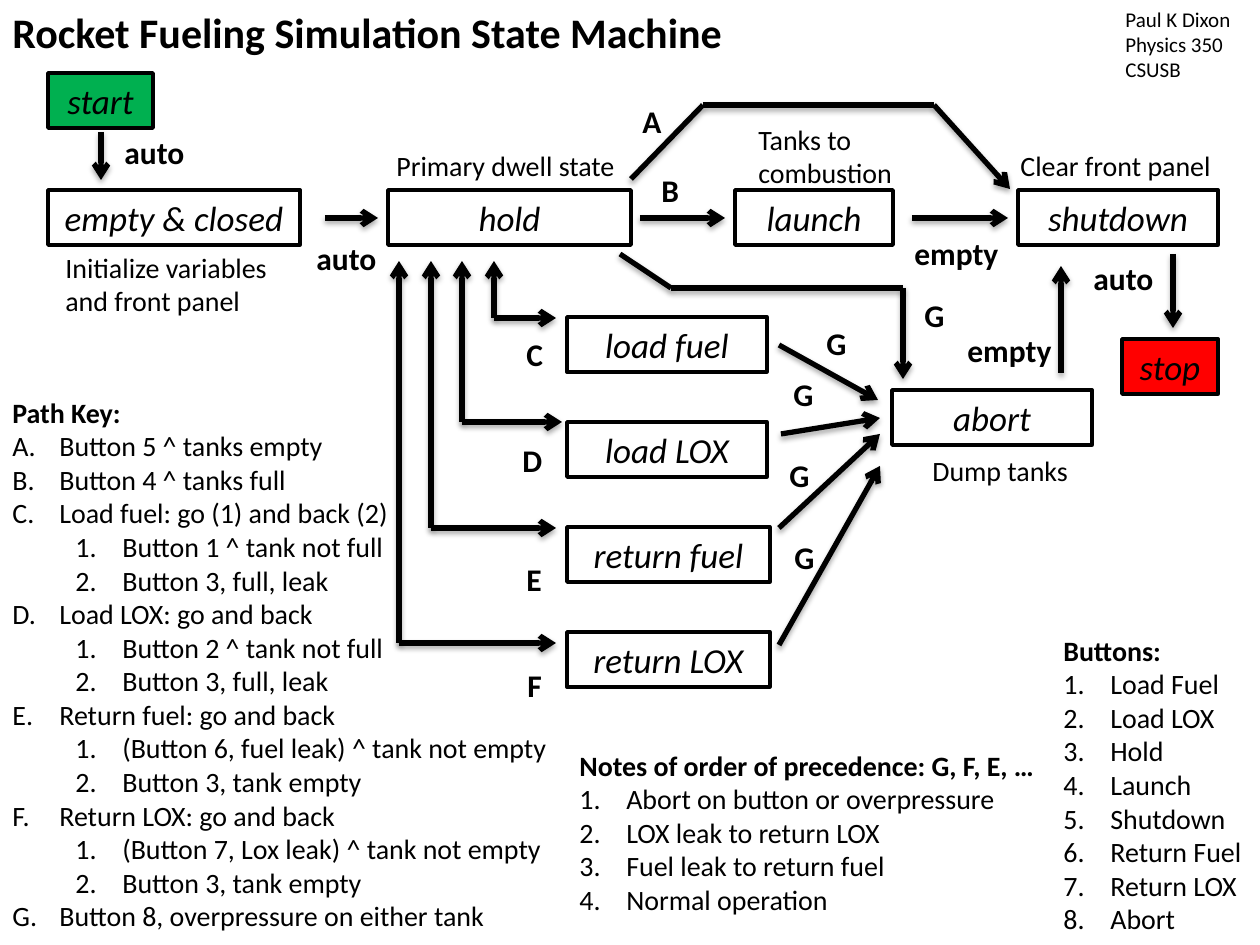
from itertools import pairwise
from lxml import etree
from pptx import Presentation, util as u
from pptx.dml.color import RGBColor
from pptx.enum import shapes, text
from pptx.oxml.ns import qn

SCALE = 914400 / 126
SIZE = (1260, 945)
THEME = dict(font="Calibri", ink="000000", start="00B050", stop="FF0000",
             title=24, state=20, label=18, body=16, credit=12,
             border=2, arrow=3)
STATE_HEIGHT, LABEL_HEIGHT, INDENT, SUB_INDENT = 55, 50, 47, 110

# Content: states as name, left, top, width, fill
ROW, STEPS = 190, [317 + 105 * i for i in range(4)]
STATES = [
    ("start", 48, 73, 105, "start"), ("stop", 1122, 339, 96, "stop"),
    ("empty & closed", 48, ROW, 252, None), ("hold", 388, ROW, 243, None),
    ("launch", 735, ROW, 158, None), ("shutdown", 1018, ROW, 200, None),
    ("abort", 892, 390, 200, None),
    ("load fuel", 567, STEPS[0], 200, None), ("load LOX", 567, STEPS[1], 200, None),
    ("return fuel", 567, STEPS[2], 203, None), ("return LOX", 567, STEPS[3], 203, None),
]

# Routes as points, with an arrowhead at the last one
MIDDLE = 218
ROUTES = [
    [(101, 132), (101, 180)],
    [(325, MIDDLE), (378, MIDDLE)],
    [(640, MIDDLE), (725, MIDDLE)],
    [(912, MIDDLE), (1008, MIDDLE)],
    [(631, 179), (703, 105), (934, 105), (1010, 189)],
    [(620, 254), (671, 288), (903, 288), (903, 379)],
    [(1061, 373), (1061, 266)],
    [(1173, 254), (1173, 328)],
    [(779, 345), (878, 400)],
    [(781, 434), (880, 418)],
    [(779, 528), (880, 434)],
    [(779, 645), (880, 466)],
]
# Two-way routes between hold and each step: column, level, right end
BRANCHES = [(494, 318, 556), (462, 422, 562), (431, 528, 556), (399, 643, 556)]
BRANCH_TOP = 261

LABELS = [
    ("auto", 112, 127, 86), ("auto", 304, 233, 86), ("auto", 1081, 253, 86),
    ("empty", 955, 325, 110), ("empty", 902, 228, 110),
    ("A", 630, 96, 44), ("B", 649, 165, 44), ("C", 514, 329, 43),
    ("D", 510, 435, 45), ("E", 514, 554, 43), ("F", 515, 660, 40),
    ("G", 912, 290, 45), ("G", 814, 318, 45), ("G", 781, 369, 45),
    ("G", 777, 450, 45), ("G", 782, 532, 45),
]

# Plain text as lines, size, bold, left, top, width, height
NOTES = [
    (["Rocket Fueling Simulation State Machine"], "title", True, 0, 0, 737, 63),
    (["Paul K Dixon", "Physics 350", "CSUSB"], "credit", False, 1113, 0, 147, 89),
    (["Initialize variables", "and front panel"], "body", False, 53, 244, 231, 81),
    (["Dump tanks"], "body", False, 920, 447, 180, 47),
    (["Tanks to", "combustion"], "body", False, 746, 116, 166, 81),
    (["Clear front panel"], "body", False, 1008, 142, 231, 47),
    (["Primary dwell state"], "body", False, 384, 142, 257, 47),
]

# Numbered lists as heading, items, scheme, box; a tuple holds sub-items
LISTS = [
    ("Path Key:", [
        "Button 5 ^ tanks empty", "Button 4 ^ tanks full",
        "Load fuel: go (1) and back (2)",
        ("Button 1 ^ tank not full", "Button 3, full, leak"),
        "Load LOX: go and back",
        ("Button 2 ^ tank not full", "Button 3, full, leak"),
        "Return fuel: go and back",
        ("(Button 6, fuel leak) ^ tank not empty", "Button 3, tank empty"),
        "Return LOX: go and back",
        ("(Button 7, Lox leak) ^ tank not empty", "Button 3, tank empty"),
        "Button 8, overpressure on either tank",
    ], "alphaUcPeriod", (0, 389, 588, 556)),
    ("Buttons:", ["Load Fuel", "Load LOX", "Hold", "Launch", "Shutdown",
                  "Return Fuel", "Return LOX", "Abort"],
     "arabicPeriod", (1051, 627, 209, 318)),
    ("Notes of order of precedence: G, F, E, …",
     ["Abort on button or overpressure", "LOX leak to return LOX",
      "Fuel leak to return fuel", "Normal operation"],
     "arabicPeriod", (567, 742, 483, 183)),
]

deck = Presentation()
deck.slide_width, deck.slide_height = (round(side * SCALE) for side in SIZE)
page = deck.slides.add_slide(deck.slide_layouts[6])


def px(*lengths):
    return [round(length * SCALE) for length in lengths]


def color(name):
    return RGBColor.from_string(THEME[name])


def child(parent, tag, **values):
    return etree.SubElement(parent, qn(tag), values)


def write(para, words, size, **styles):
    span = para.add_run()
    span.text = words
    formats = dict(name=THEME["font"], size=u.Pt(THEME[size]), **styles)
    for key, value in formats.items():
        setattr(span.font, key, value)
    span.font.color.rgb = color("ink")


def paragraphs(frame, count):
    return [frame.paragraphs[0]] + [frame.add_paragraph() for _ in range(count - 1)]


def text_box(place, wrap=True):
    frame = page.shapes.add_textbox(*px(*place)).text_frame
    frame.word_wrap = wrap
    frame.auto_size = text.MSO_AUTO_SIZE.SHAPE_TO_FIT_TEXT
    return frame


def number(para, scheme, level):
    para.level = level
    props = para._p.get_or_add_pPr()
    margin, indent = px(SUB_INDENT if level else INDENT, -INDENT)
    props.set("marL", str(margin))
    props.set("indent", str(indent))
    child(props, "a:buFont", typeface="+mj-lt")
    child(props, "a:buAutoNum", type=scheme)


def segment(start, end, head=False, tail=False):
    line = page.shapes.add_connector(shapes.MSO_CONNECTOR.STRAIGHT, *px(*start, *end))
    line.line.color.rgb = color("ink")
    line.line.width = u.Pt(THEME["arrow"])
    for tag, shown in (("a:headEnd", head), ("a:tailEnd", tail)):
        if shown:
            child(line.line._ln, tag, type="arrow")
    effects = child(line._element.spPr, "a:effectLst")
    shadow = child(effects, "a:outerShdw", blurRad="40000", dist="23000",
                   dir="5400000", rotWithShape="0")
    child(child(shadow, "a:srgbClr", val=THEME["ink"]), "a:alpha", val="35000")


def route(points, both=False):
    pairs = list(pairwise(points))
    for i, (start, end) in enumerate(pairs):
        segment(start, end, both and i == 0, i == len(pairs) - 1)


# Plain text and lists
for lines, size, bold, *place in NOTES:
    for para, words in zip(paragraphs(text_box(place), len(lines)), lines):
        write(para, words, size, bold=bold)

for heading, items, scheme, place in LISTS:
    rows = []
    for item in items:
        if isinstance(item, tuple):
            rows += [(words, "arabicPeriod", 1) for words in item]
        else:
            rows.append((item, scheme, 0))
    first, *rest = paragraphs(text_box(place), len(rows) + 1)
    write(first, heading, "body", bold=True)
    for para, (words, style, level) in zip(rest, rows):
        number(para, style, level)
        write(para, words, "body")

# States
for name, left, top, width, fill in STATES:
    box = page.shapes.add_shape(shapes.MSO_SHAPE.RECTANGLE,
                                *px(left, top, width, STATE_HEIGHT))
    box.shadow.inherit = False
    if fill:
        box.fill.solid()
        box.fill.fore_color.rgb = color(fill)
    else:
        box.fill.background()
    box.line.color.rgb = color("ink")
    box.line.width = u.Pt(THEME["border"])
    box.text_frame.vertical_anchor = text.MSO_ANCHOR.MIDDLE
    para = box.text_frame.paragraphs[0]
    para.alignment = text.PP_ALIGN.CENTER
    write(para, name, "state", italic=True)

# Transitions and their labels
for points in ROUTES:
    route(points)
for column, level, right in BRANCHES:
    route([(column, BRANCH_TOP), (column, level), (right, level)], both=True)
for words, left, top, width in LABELS:
    frame = text_box((left, top, width, LABEL_HEIGHT), wrap=False)
    write(frame.paragraphs[0], words, "label", bold=True)

deck.save("out.pptx")
